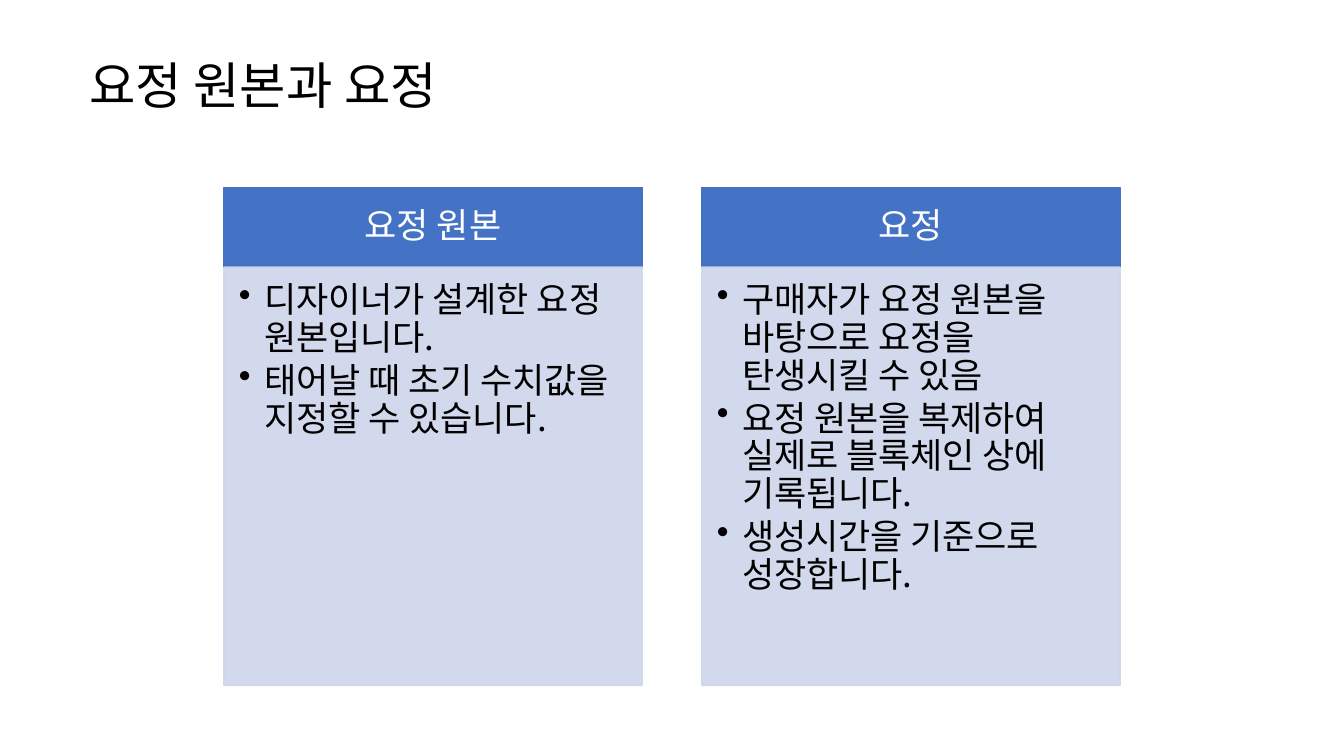
from lxml import etree
from pptx import Presentation
from pptx.dml.color import RGBColor
from pptx.enum.shapes import MSO_SHAPE
from pptx.enum.text import MSO_ANCHOR, PP_ALIGN
from pptx.oxml.ns import qn
from pptx.util import Inches, Pt

RECTANGLE = MSO_SHAPE.RECTANGLE
TOP, MIDDLE = MSO_ANCHOR.TOP, MSO_ANCHOR.MIDDLE
LEFT, CENTER = PP_ALIGN.LEFT, PP_ALIGN.CENTER
BLUE = RGBColor(0x44, 0x72, 0xC4)
PALE_BLUE = RGBColor(0xCF, 0xD5, 0xEA)
WHITE = RGBColor(0xFF, 0xFF, 0xFF)
BLACK = RGBColor(0x00, 0x00, 0x00)

TITLE = "요정 원본과 요정"
COLUMNS = [
    ("요정 원본", [
        "디자이너가 설계한 요정 원본입니다.",
        "태어날 때 초기 수치값을 지정할 수 있습니다.",
    ]),
    ("요정", [
        "구매자가 요정 원본을 바탕으로 요정을 탄생시킬 수 있음",
        "요정 원본을 복제하여 실제로 블록체인 상에 기록됩니다.",
        "생성시간을 기준으로 성장합니다.",
    ]),
]
COLUMN_LEFT, COLUMN_STEP, COLUMN_WIDTH = 2.22, 4.74, 4.15
HEADER_TOP, HEADER_HEIGHT, BODY_HEIGHT = 1.86, 0.79, 4.15


class SlideBuilder:
    font_name = "Noto Sans CJK KR"
    title_size = 36
    text_size = 25

    def __init__(self, page):
        self.page = page

    def set_text(self, box, lines, size, color, align=LEFT, anchor=MIDDLE,
                 insets=(0.1, 0.05, 0.1, 0.05), space_after=0.0, bullets=False):
        frame = box.text_frame
        frame.word_wrap = True
        frame.vertical_anchor = anchor
        (frame.margin_left, frame.margin_top,
         frame.margin_right, frame.margin_bottom) = map(Inches, insets)
        frame.text = "\n".join(lines)
        for para in frame.paragraphs:
            para.alignment = align
            para.line_spacing = 0.9
            para.space_after = Pt(size * space_after)
            para.font.name = self.font_name
            para.font.size = Pt(size)
            para.font.color.rgb = color
            properties = para._p.get_or_add_pPr()
            defaults = properties.find(qn("a:defRPr"))
            latin = defaults.find(qn("a:latin"))
            east_asian = etree.Element(qn("a:ea"), typeface=self.font_name)
            latin.addnext(east_asian)
            if bullets:
                para.level = 1
                properties.set("marL", str(Inches(0.25)))
                properties.set("indent", str(-Inches(0.25)))
                defaults.addprevious(etree.Element(qn("a:buChar"), char="•"))

    def title(self, text):
        box = self.page.shapes.add_textbox(
            Inches(0.79), Inches(0.15), Inches(11.5), Inches(1.45))
        self.set_text(box, [text], self.title_size, BLACK)

    def panel(self, left, top, width, height, color, opacity=100):
        box = self.page.shapes.add_shape(
            RECTANGLE, Inches(left), Inches(top), Inches(width), Inches(height))
        box.shadow.inherit = False
        box.fill.solid()
        box.fill.fore_color.rgb = color
        box.line.color.rgb = color
        box.line.width = Pt(1)
        if opacity < 100:
            for tint in box._element.spPr.iter(qn("a:srgbClr")):
                etree.SubElement(tint, qn("a:alpha"), val=str(opacity * 1000))
        return box

    def column(self, left, heading, points):
        header = self.panel(left, HEADER_TOP, COLUMN_WIDTH, HEADER_HEIGHT, BLUE)
        self.set_text(header, [heading], self.text_size, WHITE, align=CENTER,
                      insets=(0.19, 0.11, 0.19, 0.11), space_after=0.35)
        body = self.panel(left, HEADER_TOP + HEADER_HEIGHT, COLUMN_WIDTH,
                          BODY_HEIGHT, PALE_BLUE, opacity=90)
        self.set_text(body, points, self.text_size, BLACK, anchor=TOP,
                      insets=(0.15, 0.15, 0.19, 0.22), space_after=0.15,
                      bullets=True)


def main():
    deck = Presentation()
    deck.slide_width, deck.slide_height = Inches(13.33), Inches(7.5)
    builder = SlideBuilder(deck.slides.add_slide(deck.slide_layouts[6]))
    for index, (heading, points) in enumerate(COLUMNS):
        builder.column(COLUMN_LEFT + index * COLUMN_STEP, heading, points)
    builder.title(TITLE)
    deck.save("out.pptx")


if __name__ == "__main__":
    main()
